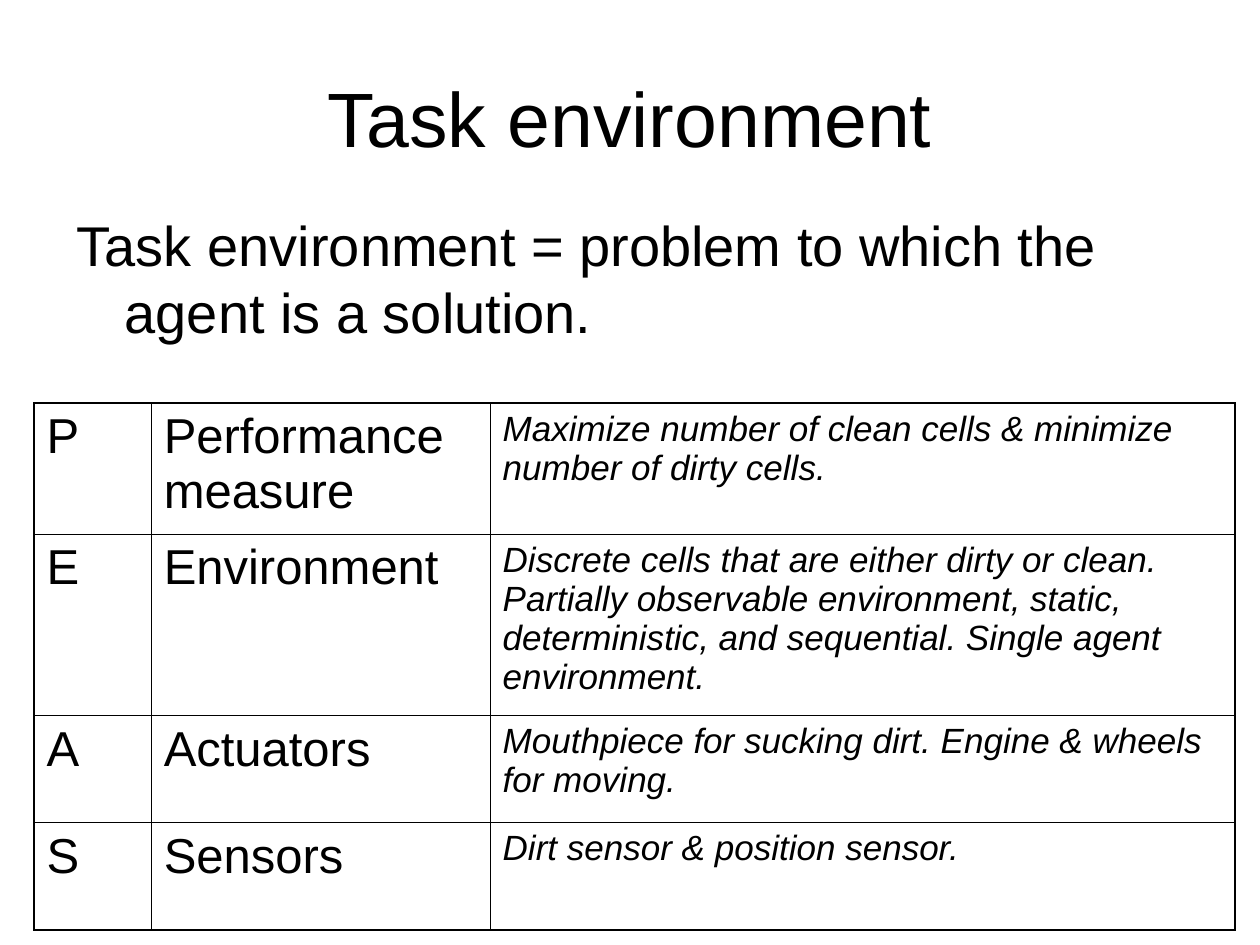
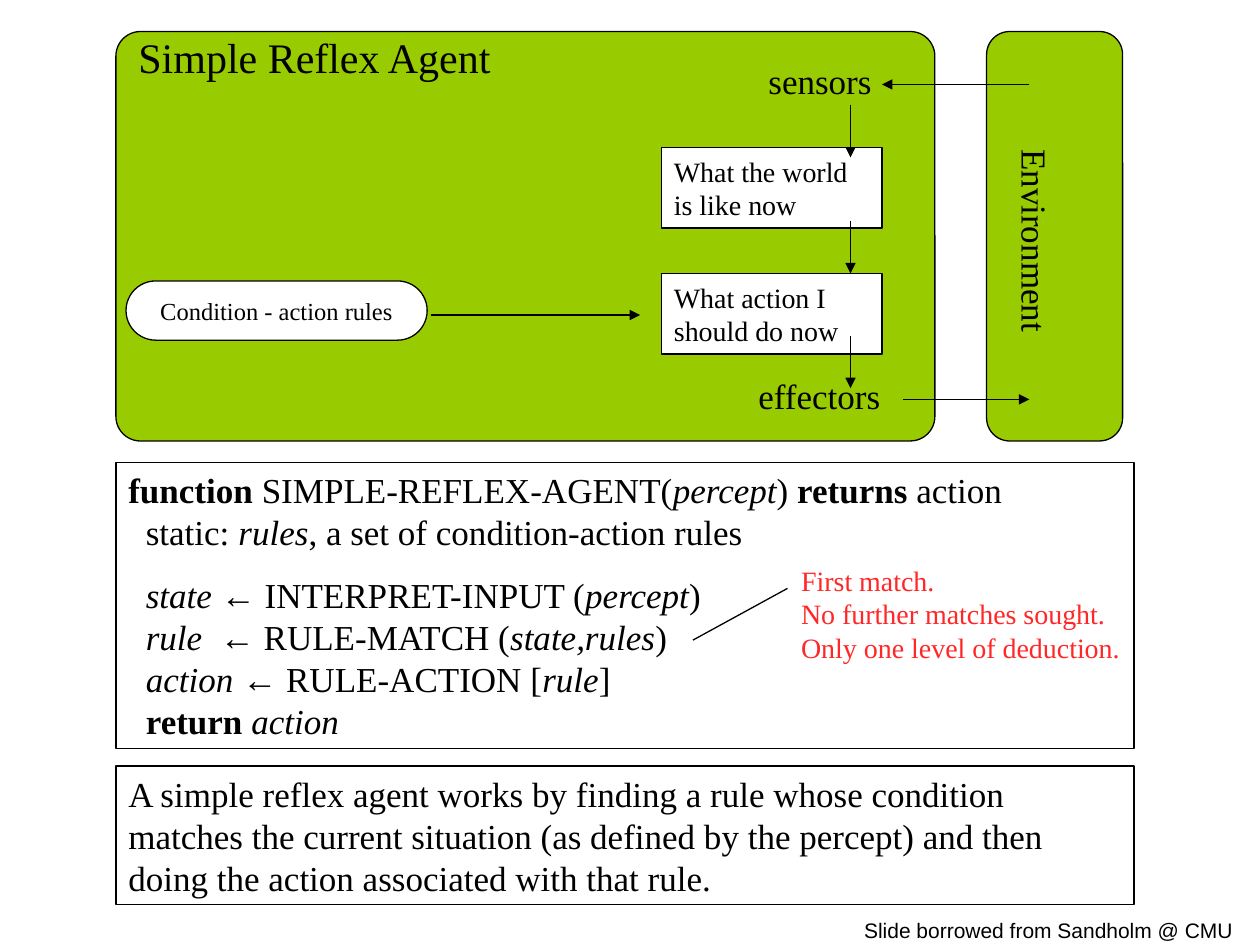
from lxml.etree import SubElement
from pptx import Presentation
from pptx.dml.color import RGBColor
from pptx.enum.shapes import MSO_CONNECTOR, MSO_SHAPE
from pptx.enum.text import MSO_ANCHOR, MSO_AUTO_SIZE, PP_ALIGN
from pptx.oxml import parse_xml
from pptx.oxml.ns import nsdecls, qn
from pptx.util import Pt

PX = 9144
BLACK = RGBColor(0x00, 0x00, 0x00)
WHITE = RGBColor(0xFF, 0xFF, 0xFF)
GREEN = RGBColor(0x99, 0xCC, 0x00)
RED = RGBColor(0xFF, 0x27, 0x27)
SANS = "Arial"
SERIF = "Times New Roman"
PLAIN = {}
BOLD = {"bold": True}
ITALIC = {"italic": True}
SYMBOL = {"name": SANS}
THIN, THICK = 0.45, 1.08

COLUMNS = [93, 269, 591]
ROWS = [104, 144, 85, 85]
PEAS = [
    ("P", "Performance measure",
     "Maximize number of clean cells & minimize number of dirty cells."),
    ("E", "Environment",
     "Discrete cells that are either dirty or clean. Partially observable environment, "
     "static, deterministic, and sequential. Single agent environment."),
    ("A", "Actuators", "Mouthpiece for sucking dirt. Engine & wheels for moving."),
    ("S", "Sensors", "Dirt sensor & position sensor."),
]


def assignment(target, call, argument, closing):
    """Return the spans of one assignment line of the agent function."""
    return [("  ", PLAIN), (target, ITALIC), ("←", SYMBOL), (call, PLAIN),
            (argument, ITALIC), (closing, PLAIN)]


AGENT_FUNCTION = [
    [("function", BOLD), (" SIMPLE-REFLEX-AGENT(", PLAIN), ("percept", ITALIC),
     (") ", PLAIN), ("returns", BOLD), (" action", PLAIN)],
    [("  static: ", PLAIN), ("rules", ITALIC), (", a set of condition-action rules", PLAIN)],
    assignment("state ", " INTERPRET-INPUT (", "percept", ")"),
    assignment("rule  ", " RULE-MATCH (", "state,rules", ")"),
    assignment("action ", " RULE-ACTION [", "rule", "]"),
    [("  ", PLAIN), ("return ", BOLD), ("action", ITALIC)],
]
SUMMARY = ("A simple reflex agent works by finding a rule whose condition matches the "
           "current situation (as defined by the percept) and then doing the action "
           "associated with that rule.")
ARROWS = [
    (675, 83, 675, 125),
    (342, 250, 508, 250),
    (675, 175, 675, 217),
    (675, 267, 675, 308),
    (817, 67, 700, 67),
    (717, 317, 817, 317),
]


def scaled(*lengths):
    """Turn px lengths into EMU."""
    return [length * PX for length in lengths]


def set_values(target, values):
    """Set each attribute named in a dict of values."""
    for name, value in values.items():
        setattr(target, name, value)


def write(frame, lines, size, font=SERIF, color=BLACK, align=PP_ALIGN.LEFT):
    """Write lines, each a string or a list of (text, format) spans, into a frame."""
    for index, line in enumerate(lines):
        para = frame.paragraphs[0] if index == 0 else frame.add_paragraph()
        set_values(para, {"alignment": align, "line_spacing": 1.0, "space_before": Pt(0)})
        for text, values in [(line, PLAIN)] if isinstance(line, str) else line:
            span = para.add_run()
            span.text = text
            set_values(span.font, {"name": font, "size": Pt(size), **values})
            span.font.color.rgb = color


def fit_frame(frame, anchor=MSO_ANCHOR.TOP, wrap=True):
    """Fix the size, wrapping and anchor of a text frame."""
    set_values(frame, {"auto_size": MSO_AUTO_SIZE.NONE, "word_wrap": wrap,
                       "vertical_anchor": anchor})


def fill_placeholder(box, bounds, text, size, align, anchor):
    """Move a placeholder and write its text."""
    set_values(box, dict(zip(("left", "top", "width", "height"), scaled(*bounds))))
    fit_frame(box.text_frame, anchor)
    write(box.text_frame, [text], size, SANS, align=align)


def hang_without_bullet(para, indent):
    """Give a paragraph a hanging indent and no bullet."""
    properties = para._p.get_or_add_pPr()
    properties.set("marL", str(indent * PX))
    properties.set("indent", str(-indent * PX))
    properties.append(parse_xml(f"<a:buNone {nsdecls('a')}/>"))


def add_label(page, bounds, lines, size, rotation=0, **text_format):
    """Add an unwrapped text box."""
    box = page.shapes.add_textbox(*scaled(*bounds))
    box.rotation = rotation
    fit_frame(box.text_frame, wrap=False)
    write(box.text_frame, lines, size, **text_format)


def add_box(page, bounds, fill=None, lines=(), size=20, corner=None,
            anchor=MSO_ANCHOR.MIDDLE, align=PP_ALIGN.LEFT):
    """Add an outlined rectangle, rounded if a corner ratio is given."""
    kind = MSO_SHAPE.RECTANGLE if corner is None else MSO_SHAPE.ROUNDED_RECTANGLE
    box = page.shapes.add_shape(kind, *scaled(*bounds))
    if corner is not None:
        box.adjustments[0] = corner
    box.shadow.inherit = False
    if fill is None:
        box.fill.background()
    else:
        box.fill.solid()
        box.fill.fore_color.rgb = fill
    box.line.color.rgb = BLACK
    box.line.width = Pt(0.75)
    fit_frame(box.text_frame, anchor)
    write(box.text_frame, lines, size, align=align)
    return box


def add_line(page, ends, arrow=False):
    """Add a straight line, with an arrowhead at its end if asked."""
    line = page.shapes.add_connector(MSO_CONNECTOR.STRAIGHT, *scaled(*ends))
    line.line.color.rgb = BLACK
    line.line.width = Pt(0.75)
    if arrow:
        SubElement(line.line._get_or_add_ln(), qn("a:tailEnd"), type="triangle")
    SubElement(line._element.spPr, qn("a:effectLst"))


def set_borders(cell, widths):
    """Draw black borders of the given widths, in left, right, top, bottom order."""
    properties = cell._tc.get_or_add_tcPr()
    for index, (side, width) in enumerate(zip("LRTB", widths)):
        properties.insert(index, parse_xml(
            f'<a:ln{side} {nsdecls("a")} w="{Pt(width)}"><a:solidFill>'
            f'<a:srgbClr val="{BLACK}"/></a:solidFill></a:ln{side}>'))


def add_peas_table(page):
    """Add the table of the four parts of the task environment."""
    bounds = scaled(27, 320, sum(COLUMNS), sum(ROWS))
    table = page.shapes.add_table(len(ROWS), len(COLUMNS), *bounds).table
    set_values(table, {"first_row": False, "horz_banding": False})
    for column, width in zip(table.columns, COLUMNS):
        column.width = width * PX
    for row, height in zip(table.rows, ROWS):
        row.height = height * PX
    last_row, last_column = len(ROWS) - 1, len(COLUMNS) - 1
    for y, texts in enumerate(PEAS):
        for x, text in enumerate(texts):
            cell = table.cell(y, x)
            cell.fill.background()
            outer = (x == 0, x == last_column, y == 0, y == last_row)
            set_borders(cell, [THICK if edge else THIN for edge in outer])
            answer = x == last_column
            line = [(text, ITALIC if answer else PLAIN)]
            write(cell.text_frame, [line], 20 if answer else 28, SANS)


def build_task_environment(deck):
    """Build the slide that defines the task environment."""
    page = deck.slides.add_slide(deck.slide_layouts[1])
    title, body = page.placeholders[0], page.placeholders[1]
    fill_placeholder(title, (50, 30, 900, 125), "Task environment", 44,
                     PP_ALIGN.CENTER, MSO_ANCHOR.MIDDLE)
    fill_placeholder(body, (51, 162, 900, 121),
                     "Task environment = problem to which the agent is a solution.", 32,
                     PP_ALIGN.LEFT, MSO_ANCHOR.TOP)
    hang_without_bullet(body.text_frame.paragraphs[0], 38)
    add_peas_table(page)


def build_reflex_agent(deck):
    """Build the slide that shows the simple reflex agent."""
    page = deck.slides.add_slide(deck.slide_layouts[6])
    add_box(page, (92, 25, 650, 325), GREEN, corner=0.06)
    add_box(page, (783, 25, 108, 325), GREEN, corner=0.17)
    add_label(page, (100, 20, 301, 50), ["Simple Reflex Agent"], 24)
    add_label(page, (600, 42, 102, 44), ["sensors"], 20)
    add_label(page, (592, 292, 133, 44), ["effectors"], 20)
    add_label(page, (739, 169, 165, 44), ["Environment"], 20, rotation=90)
    for top, text in ((117, "What the world is like now"), (217, "What action I should do now")):
        add_box(page, (525, top, 175, 64), WHITE, [text], 16)
    add_box(page, (100, 223, 239, 47), WHITE, ["Condition - action rules"], 14,
            corner=0.5, align=PP_ALIGN.CENTER)
    for ends in ARROWS:
        add_line(page, ends, arrow=True)

    code = add_box(page, (92, 367, 808, 227), lines=AGENT_FUNCTION, anchor=MSO_ANCHOR.TOP)
    code.text_frame.paragraphs[2].space_before = Pt(12)
    add_box(page, (92, 608, 808, 110), lines=[SUMMARY], anchor=MSO_ANCHOR.TOP)
    add_label(page, (626, 442, 273, 90),
              ["First match.", "No further matches sought.", "Only one level of deduction."],
              16, color=RED)
    add_line(page, (550, 508, 625, 467))
    add_label(page, (676, 723, 313, 30), ["Slide borrowed from Sandholm @ CMU"], 12, font=SANS)


def main():
    """Build the deck and save it."""
    deck = Presentation()
    deck.slide_width, deck.slide_height = scaled(1000, 750)
    build_task_environment(deck)
    build_reflex_agent(deck)
    deck.save("out.pptx")


if __name__ == "__main__":
    main()
